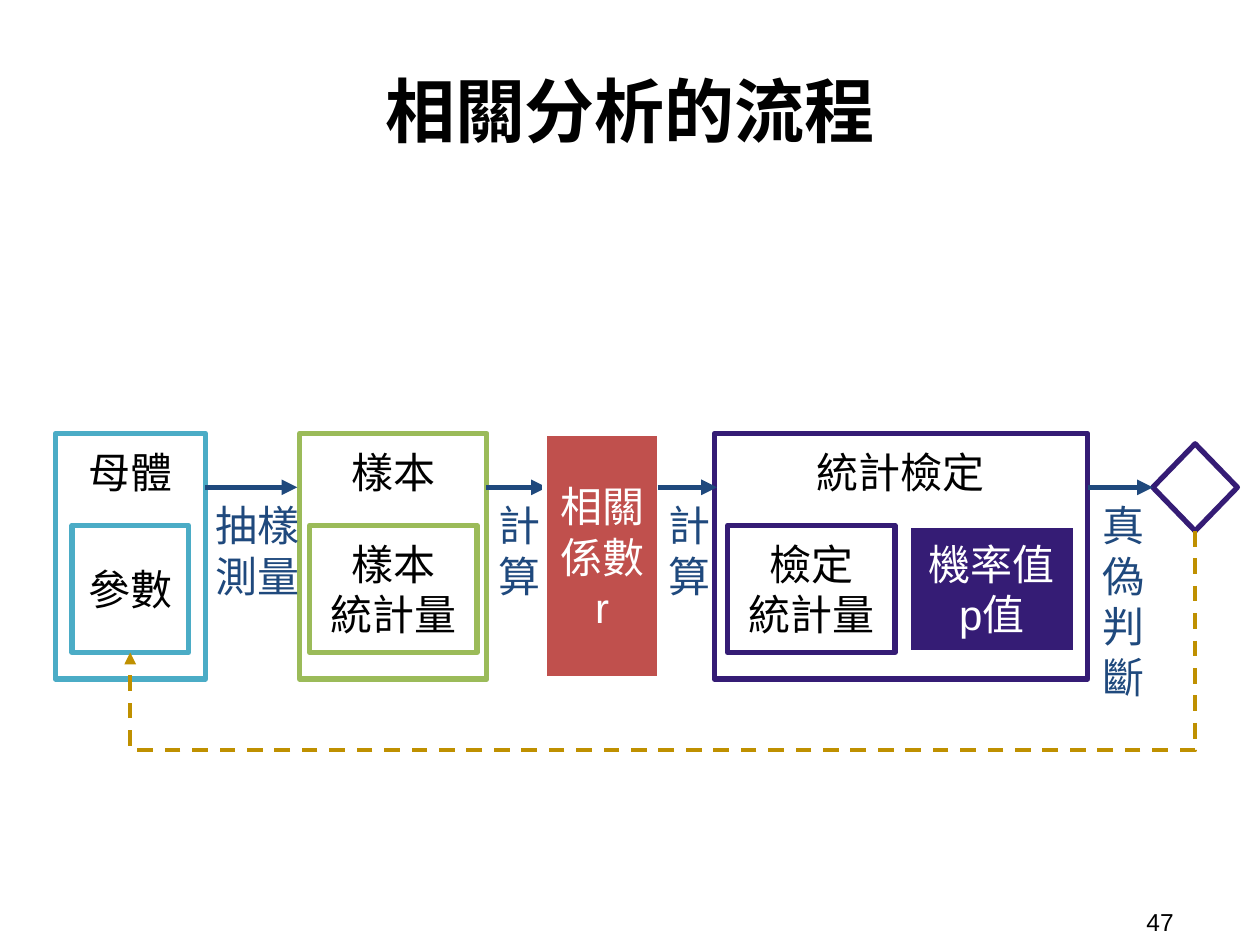
from dataclasses import dataclass

from lxml.etree import SubElement
from pptx import Presentation
from pptx.dml.color import RGBColor
from pptx.enum.dml import MSO_LINE
from pptx.enum.shapes import MSO_CONNECTOR as Link, MSO_SHAPE as Preset
from pptx.enum.text import MSO_ANCHOR as Anchor, PP_ALIGN as Align
from pptx.oxml.ns import qn
from pptx.shapes.autoshape import Shape
from pptx.shapes.connector import Connector
from pptx.slide import Slide
from pptx.util import Pt

BLACK = RGBColor(0x00, 0x00, 0x00)
WHITE = RGBColor(0xFF, 0xFF, 0xFF)
TEAL = RGBColor(0x4B, 0xAC, 0xC6)
GREEN = RGBColor(0x9B, 0xBB, 0x59)
PURPLE = RGBColor(0x35, 0x1C, 0x75)
RED = RGBColor(0xC0, 0x50, 0x4D)
NAVY = RGBColor(0x1F, 0x49, 0x7D)
GOLD = RGBColor(0xBF, 0x90, 0x00)

FLOW_Y = 278.5
STAGE_TOP, STAGE_HEIGHT = 247.7, 140.4
INNER_TOP, INNER_HEIGHT = 300.2, 72.7


@dataclass(frozen=True)
class Box:
    left: float
    top: float
    width: float
    height: float
    lines: tuple[str, ...]
    border: RGBColor
    fill: RGBColor = WHITE
    ink: RGBColor = BLACK
    anchor: Anchor = Anchor.MIDDLE
    preset: Preset = Preset.RECTANGLE


@dataclass(frozen=True)
class Label:
    left: float
    top: float
    width: float
    height: float
    lines: tuple[str, ...]
    size: float = 24
    ink: RGBColor = NAVY
    align: Align = Align.CENTER
    anchor: Anchor = Anchor.TOP
    face: str = "Arial"
    bold: bool = False
    margin: float = 7.2


@dataclass(frozen=True)
class Arrow:
    start: float
    end: float


def stage(left: float, width: float, name: str, border: RGBColor) -> Box:
    """Describe an outer box with its name at the top."""
    return Box(left, STAGE_TOP, width, STAGE_HEIGHT, (name,), border, anchor=Anchor.TOP)


def inner(left: float, width: float, lines: tuple[str, ...], border: RGBColor,
          fill: RGBColor = WHITE, ink: RGBColor = BLACK) -> Box:
    """Describe a box that sits inside a stage."""
    return Box(left, INNER_TOP, width, INNER_HEIGHT, lines, border, fill, ink)


STAGES = (
    stage(31.7, 85.7, "母體", TEAL),
    inner(41.2, 66.5, ("參數",), TEAL),
    stage(171.2, 107, "樣本", GREEN),
    inner(177, 95.7, ("樣本", "統計量"), GREEN),
    stage(408.2, 213.3, "統計檢定", PURPLE),
    inner(415.8, 95.7, ("檢定", "統計量"), PURPLE),
    inner(519, 95.7, ("機率值", "p值"), WHITE, PURPLE, WHITE),
)
DECISION = Box(658.8, 253.6, 48.3, 49.8, (), PURPLE, preset=Preset.FLOWCHART_DECISION)
COEFFICIENT = Box(311, STAGE_TOP, 66.2, STAGE_HEIGHT, ("相關", "係數", "r"), WHITE, RED, WHITE)
SAMPLING, SAMPLE_CALC = Arrow(117.4, 169.9), Arrow(278, 312.5)
TEST_CALC, JUDGING = Arrow(375.8, 409.7), Arrow(621.5, 658.8)
LABELS = (
    Label(37.4, 13.7, 645.1, 97.9, ("相關分析的流程",), 40, BLACK,
          anchor=Anchor.MIDDLE, face="Noto Sans CJK TC", bold=True),
    Label(648, 516.2, 66.2, 20.9, ("47",), 14, BLACK, Align.LEFT, Anchor.MIDDLE, margin=3.6),
    Label(111.6, FLOW_Y, 70.6, 92.2, ("抽樣", "測量")),
    Label(278, FLOW_Y, 34.5, 92.2, ("計算",)),
    Label(375.2, FLOW_Y, 34.5, 92.2, ("計算",)),
    Label(622.8, FLOW_Y, 70.6, 105.1, ("真", "偽", "判", "斷"), align=Align.LEFT),
)


def write(shape: Shape, lines: tuple[str, ...], size: float, ink: RGBColor, align: Align,
          anchor: Anchor, face: str = "Arial", bold: bool = False, margin: float = 7.2) -> None:
    """Fill a shape with one paragraph per line."""
    frame = shape.text_frame
    frame.word_wrap = True
    frame.vertical_anchor = anchor
    frame.margin_left = frame.margin_right = Pt(7.2)
    frame.margin_top = frame.margin_bottom = Pt(margin)
    frame.text = "\n".join(lines)
    for paragraph in frame.paragraphs:
        paragraph.alignment = align
        font = paragraph.font
        font.size, font.bold, font.name = Pt(size), bold, face
        font.color.rgb = ink
        SubElement(font._element, qn("a:ea"), typeface=face)


def draw_box(slide: Slide, box: Box) -> Shape:
    """Draw a filled and outlined box."""
    shape = slide.shapes.add_shape(
        box.preset, Pt(box.left), Pt(box.top), Pt(box.width), Pt(box.height))
    shape.shadow.inherit = False
    shape.fill.solid()
    shape.fill.fore_color.rgb = box.fill
    shape.line.color.rgb = box.border
    shape.line.width = Pt(3)
    if box.lines:
        write(shape, box.lines, 24, box.ink, Align.CENTER, box.anchor)
    return shape


def draw_label(slide: Slide, label: Label) -> None:
    """Draw text without a frame."""
    shape = slide.shapes.add_textbox(
        Pt(label.left), Pt(label.top), Pt(label.width), Pt(label.height))
    write(shape, label.lines, label.size, label.ink, label.align, label.anchor,
          label.face, label.bold, label.margin)


def style_arrow(connector: Connector, color: RGBColor, width: float) -> None:
    """Give a connector its colour, width and arrowhead."""
    connector.line.color.rgb = color
    connector.line.width = Pt(width)
    SubElement(connector.line._get_or_add_ln(), qn("a:tailEnd"), type="triangle")
    SubElement(connector._element.spPr, qn("a:effectLst"))


def draw_arrow(slide: Slide, arrow: Arrow) -> Connector:
    """Draw a straight arrow along the flow."""
    connector = slide.shapes.add_connector(
        Link.STRAIGHT, Pt(arrow.start), Pt(FLOW_Y), Pt(arrow.end), Pt(FLOW_Y))
    style_arrow(connector, NAVY, 3)
    return connector


def draw_feedback(slide: Slide) -> None:
    """Draw the dashed elbow from the decision back to the parameter."""
    right, left, top, bottom = 683, 74.4, 303.4, 372.9
    drop, span = bottom - top, right - left
    center_x, center_y = (left + right) / 2, (top + bottom) / 2
    connector = slide.shapes.add_connector(
        Link.ELBOW, Pt(center_x - drop / 2), Pt(center_y - span / 2),
        Pt(center_x + drop / 2), Pt(center_y + span / 2))
    properties = connector._element.spPr
    properties.find(qn("a:xfrm")).set("rot", "5400000")
    adjustments = properties.find(qn("a:prstGeom")).find(qn("a:avLst"))
    SubElement(adjustments, qn("a:gd"), name="adj1", fmla="val 180500")
    connector.line.dash_style = MSO_LINE.DASH
    style_arrow(connector, GOLD, 2.25)


def main() -> None:
    """Build the slide and save it."""
    deck = Presentation()
    deck.slide_width, deck.slide_height = Pt(720), Pt(540)
    slide = deck.slides.add_slide(deck.slide_layouts[6])
    for box in STAGES:
        draw_box(slide, box)
    decision = draw_box(slide, DECISION)
    draw_arrow(slide, SAMPLING)
    draw_arrow(slide, SAMPLE_CALC)
    draw_arrow(slide, JUDGING).end_connect(decision, 1)
    draw_feedback(slide)
    draw_box(slide, COEFFICIENT)
    draw_arrow(slide, TEST_CALC)
    for label in LABELS:
        draw_label(slide, label)
    deck.save("out.pptx")


if __name__ == "__main__":
    main()
